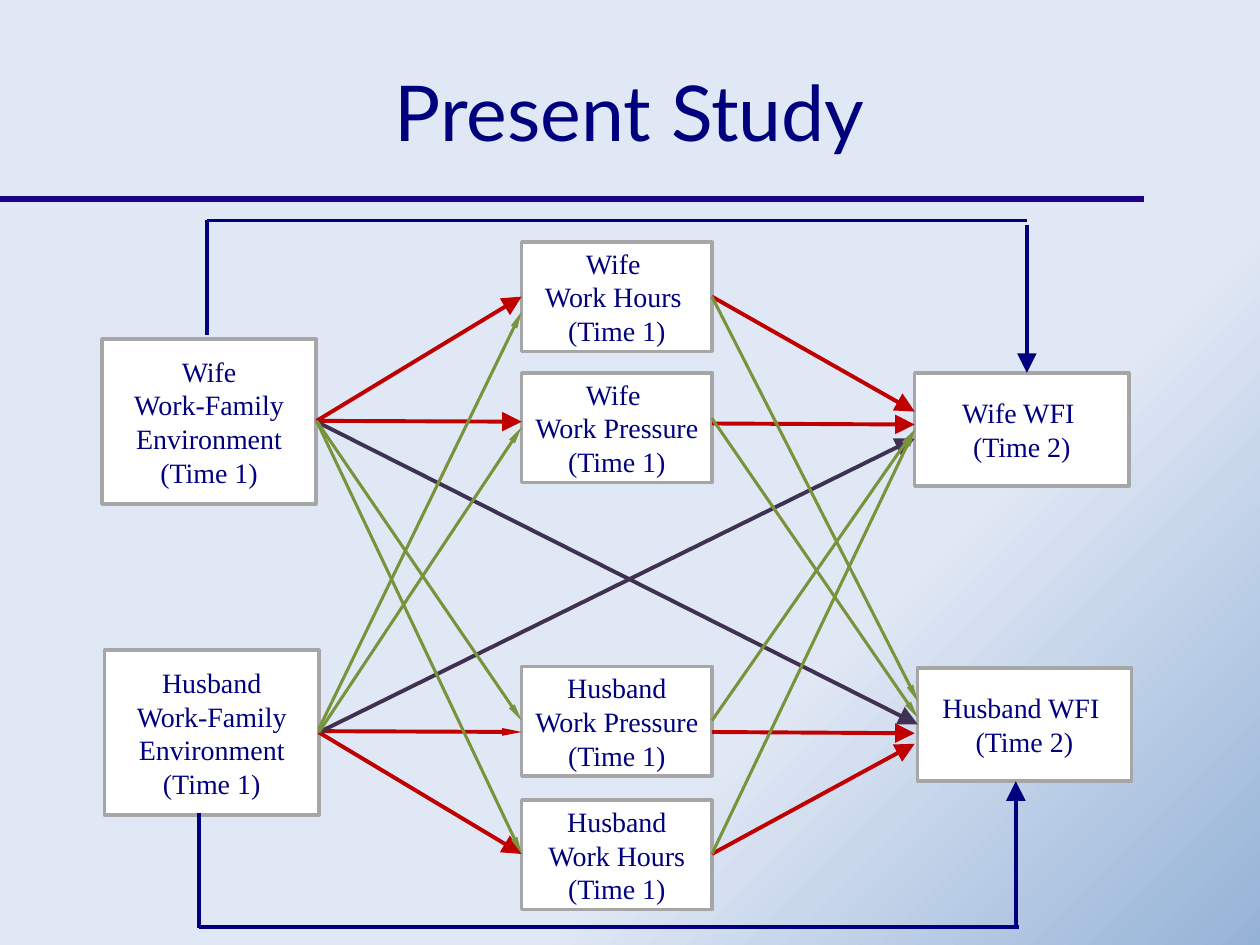
from lxml import etree
from pptx import Presentation
from pptx.dml.color import RGBColor
from pptx.enum.shapes import MSO_CONNECTOR, MSO_SHAPE
from pptx.enum.text import MSO_ANCHOR, PP_ALIGN
from pptx.oxml.ns import qn
from pptx.util import Pt

LINE, RECT = MSO_CONNECTOR.STRAIGHT, MSO_SHAPE.RECTANGLE
MIDDLE, CENTER = MSO_ANCHOR.MIDDLE, PP_ALIGN.CENTER
NAVY, RED, PURPLE, GREEN = "00007F", "C00000", "403152", "77933C"

# Content: box sizes by role, then (role, left, top, paragraphs)
SIZES = {"environment": (122.4, 94.3), "work": (108.7, 62.6), "wfi": (122.4, 64.8)}
MID_X = 298.1
BOXES = [
    ("environment", 58.3, 193.7, ["Wife", "Work-Family Environment", "(Time 1)"]),
    ("environment", 59.8, 371.5, ["Husband", "Work-Family Environment", "(Time 1)"]),
    ("work", MID_X, 138.2, ["Wife ", "Work Hours ", "(Time 1)"]),
    ("work", MID_X, 213.1, ["Wife ", "Work Pressure ", "(Time 1)"]),
    ("work", MID_X, 380.9, ["Husband", "Work Pressure (Time 1)"]),
    ("work", MID_X, 457.2, ["Husband", "Work Hours (Time 1)"]),
    ("wfi", 522.7, 213.1, ["Wife WFI ", "(Time 2)"]),
    ("wfi", 524.2, 381.6, ["Husband WFI ", "(Time 2)"]),
]

# Column edges where the paths start and end
WIFE_X, HUSBAND_X = 180.9, 182.2
WORK_L, WORK_R = MID_X, MID_X + SIZES["work"][0]
WFI_L, WFI_HUSBAND_L = 522.7, 524.5

# Paths: (colour, width, head width, [(x1, y1, x2, y2), ...])
PATHS = [
    (RED, 2.25, "lg", [
        (HUSBAND_X, 240.5, WORK_L, 241),
        (WIFE_X, 240.5, WORK_L, 169.5),
        (HUSBAND_X, 418.5, WORK_L, 488),
        (WORK_R, 242, WFI_L, 242.6),
        (WORK_R, 169.5, WFI_L, 235.2),
        (WORK_R, 418.3, WFI_L, 419),
        (WORK_R, 488, WFI_L, 425),
    ]),
    (RED, 2.25, "sm", [(HUSBAND_X, 417.8, WORK_L, 418.3)]),
    (PURPLE, 2.25, "lg", [
        (HUSBAND_X, 418.5, WFI_L, 250.6),
        (WIFE_X, 241, WFI_HUSBAND_L, 414),
    ]),
    (GREEN, 1.75, "sm", [
        (WORK_R, 239, WFI_HUSBAND_L, 410.2),
        (WORK_R, 169.5, WFI_HUSBAND_L, 400.9),
        (HUSBAND_X, 416.5, WORK_L, 178),
        (HUSBAND_X, 418.5, WORK_L, 244),
        (WORK_R, 488, WFI_L, 245.5),
        (WORK_R, 411.8, WFI_L, 245.5),
        (WIFE_X, 240.5, WORK_L, 488),
        (WIFE_X, 240.5, WORK_L, 411.8),
    ]),
    # Outer brackets from environment to WFI
    (NAVY, 2.25, None, [
        (118.5, 191.5, 118.5, 125.5),
        (118.5, 126, 586.8, 126),
        (113.8, 464.4, 113.8, 530.5),
        (113.8, 529.5, 582.2, 529.5),
    ]),
    (NAVY, 2.25, "lg", [
        (586.8, 128.3, 586.8, 213.1),
        (580.5, 530.5, 580.5, 446.4),
    ]),
]


def rgb(value):
    return RGBColor.from_string(value)


def write(shape, paragraphs, size=16, font="Times New Roman", color=NAVY):
    tf = shape.text_frame
    tf.word_wrap = True
    tf.vertical_anchor = MIDDLE
    for i, text in enumerate(paragraphs):
        p = tf.paragraphs[0] if i == 0 else tf.add_paragraph()
        p.alignment = CENTER
        r = p.add_run()
        r.text = text
        r.font.size, r.font.name = Pt(size), font
        r.font.color.rgb = rgb(color)


def add_line(s, points, color, width, head=None):
    line = s.shapes.add_connector(LINE, *[Pt(v) for v in points])
    line.line.color.rgb = rgb(color)
    line.line.width = Pt(width)
    if head:
        etree.SubElement(line.line._get_or_add_ln(), qn("a:tailEnd"),
                         type="triangle", w=head, len="lg")
    etree.SubElement(line._element.spPr, qn("a:effectLst"))


def add_box(s, role, left, top, paragraphs):
    sp = s.shapes.add_shape(RECT, Pt(left), Pt(top), *[Pt(v) for v in SIZES[role]])
    sp.shadow.inherit = False
    sp.fill.solid()
    sp.fill.fore_color.rgb = rgb("FFFFFF")
    sp.line.color.rgb = rgb("A6A6A6")
    sp.line.width = Pt(2)
    write(sp, paragraphs)


prs = Presentation()
prs.slide_width, prs.slide_height = Pt(720), Pt(540)
s = prs.slides.add_slide(prs.slide_layouts[6])

# Background: blue in the lower right corner, pale elsewhere
fill = s.background.fill
fill.gradient()
fill.gradient_angle = 135
for stop, (position, color) in zip(fill.gradient_stops, [(0, "95B3D7"), (0.33, "E1E8F5")]):
    stop.position = position
    stop.color.rgb = rgb(color)

# Title and rule
add_line(s, (0, 113.8, 654, 113.8), "1D0486", 3)
title = s.shapes.add_textbox(Pt(36), Pt(18), Pt(648), Pt(90))
write(title, ["Present Study"], size=44, font="Lato")

# Model
for box in BOXES:
    add_box(s, *box)
for color, width, head, lines in PATHS:
    for points in lines:
        add_line(s, points, color, width, head)

prs.save("out.pptx")
